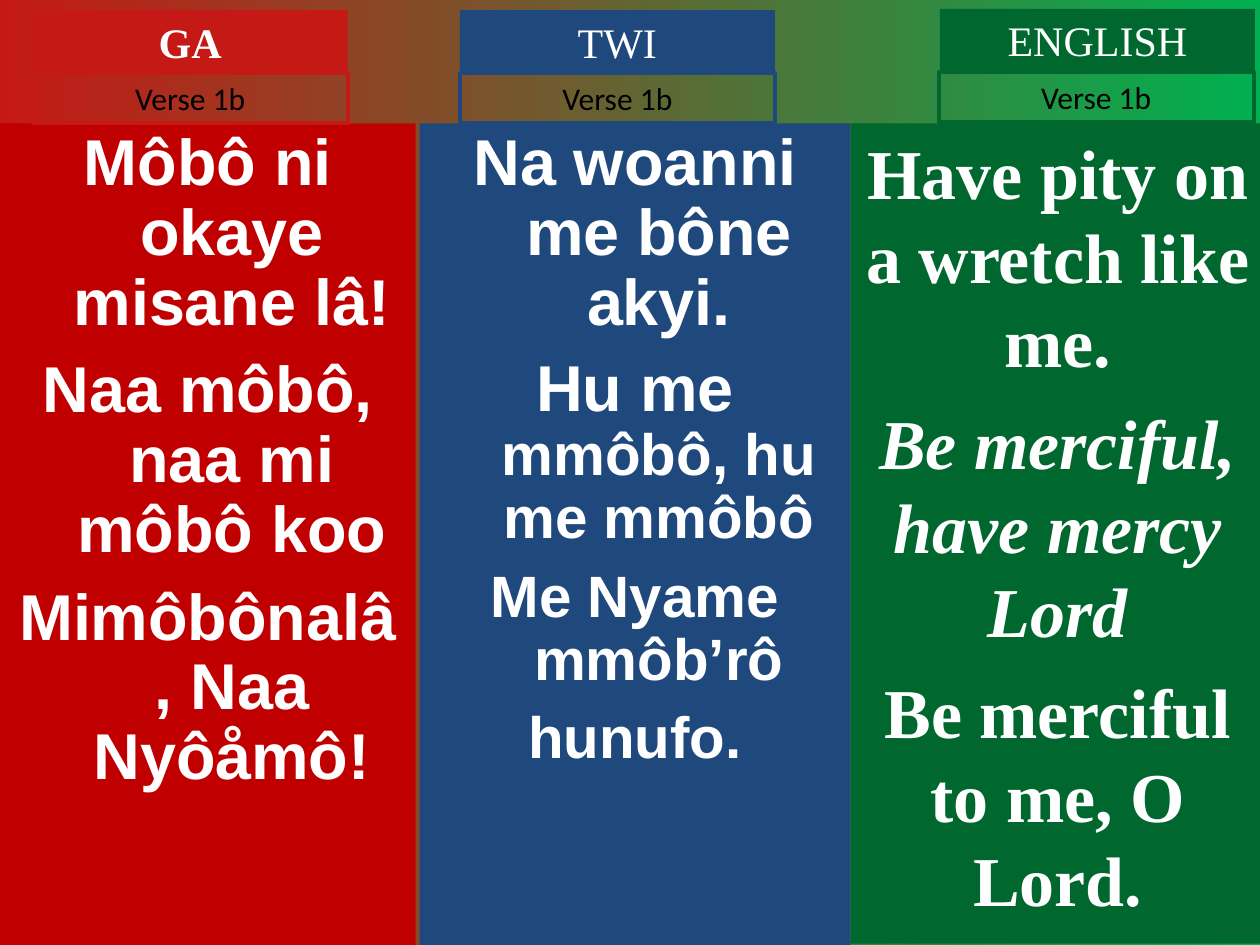
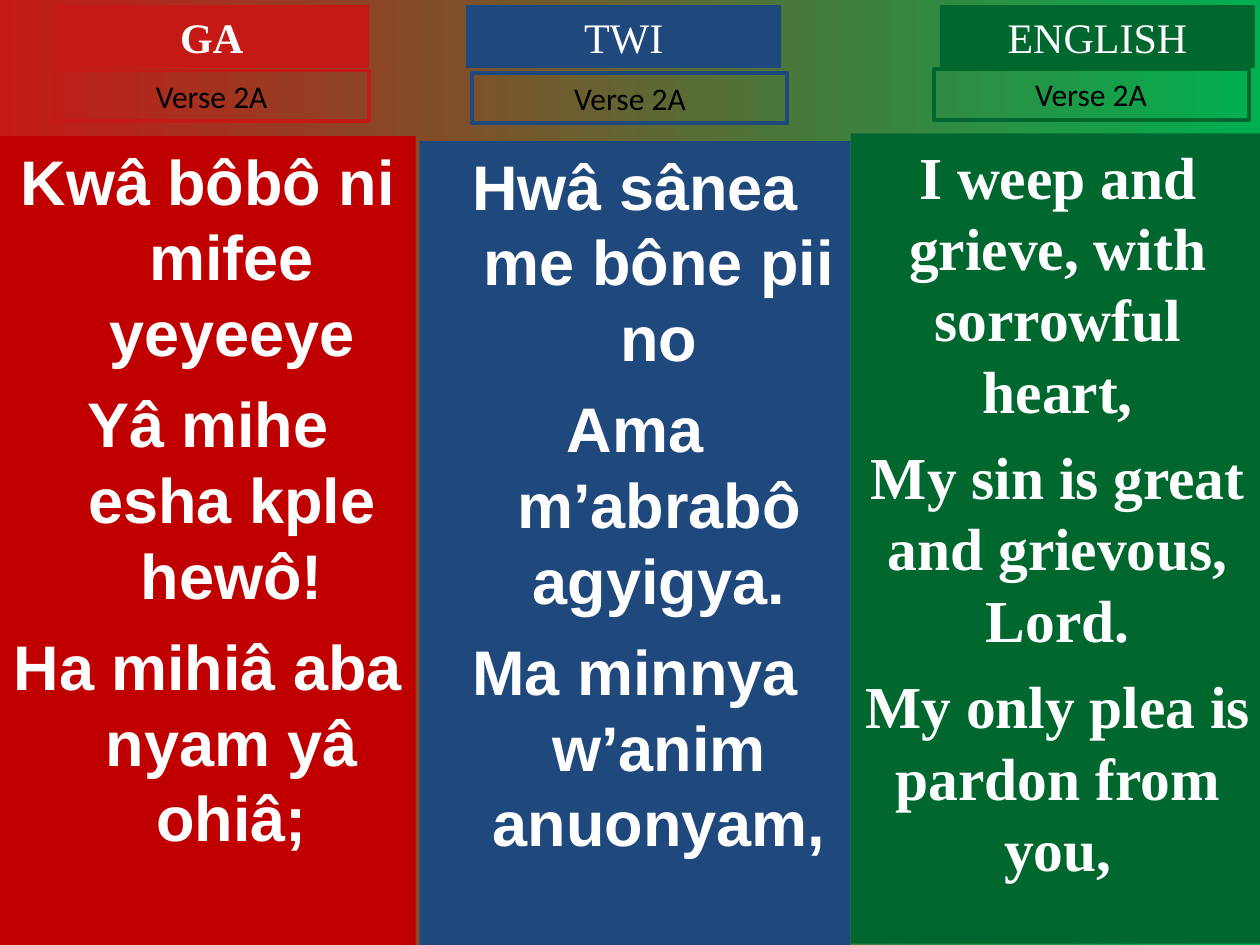
import pptx
import pptx.util
import pptx.dml.color
import pptx.enum.shapes
import pptx.enum.text
from dataclasses import dataclass

PX = 9144  # EMU per px, 100 px to the inch


@dataclass(frozen=True)
class Theme:
    red: str = "C00000"
    rose: str = "C51915"
    blue: str = "1F497D"
    green: str = "00682F"
    lime: str = "00B050"
    white: str = "FFFFFF"
    black: str = "000000"
    sans: str = "Arial"
    serif: str = "Times New Roman"
    plain: str = "Calibri"
    head: int = 24
    verse: int = 18


THEME = Theme()


def rgb(code):
    return pptx.dml.color.RGBColor.from_string(code)


def apply(item, form):
    for name, value in form.items():
        setattr(item, name, value)


class Deck:
    def __init__(self, theme):
        self.theme = theme
        self.file = pptx.Presentation()
        apply(self.file, {"slide_width": 1000 * PX, "slide_height": 750 * PX})
        self.slide = None

    def page(self):
        """Start a slide with the red to green background."""
        self.slide = self.file.slides.add_slide(self.file.slide_layouts[6])
        fill = self.slide.background.fill
        fill.gradient()
        fill.gradient_angle = 0
        for stop, code in zip(fill.gradient_stops, (self.theme.rose, self.theme.lime)):
            stop.color.rgb = rgb(code)

    def box(self, area, fill=None, line=None):
        """Add a rectangle and return its text frame."""
        kind = pptx.enum.shapes.MSO_SHAPE.RECTANGLE
        shape = self.slide.shapes.add_shape(kind, *(n * PX for n in area))
        shape.shadow.inherit = False
        if fill:
            shape.fill.solid()
            shape.fill.fore_color.rgb = rgb(fill)
        else:
            shape.fill.background()
        if line:
            shape.line.color.rgb = rgb(line)
            shape.line.width = pptx.util.Pt(2.25)
        else:
            shape.line.fill.background()
        apply(shape.text_frame, {
            "word_wrap": True,
            "vertical_anchor": pptx.enum.text.MSO_ANCHOR.TOP,
            "margin_left": 10 * PX, "margin_right": 10 * PX,
            "margin_top": 5 * PX, "margin_bottom": 5 * PX,
        })
        return shape.text_frame

    def words(self, para, runs, color, face, size, bold=False):
        """Fill a centred paragraph with (text, format) runs."""
        para.alignment = pptx.enum.text.PP_ALIGN.CENTER
        for text, form in runs:
            run = para.add_run()
            run.text = text
            look = {"name": face, "size": size, "bold": bold, **form}
            look["size"] = pptx.util.Pt(look["size"])
            apply(run.font, look)
            run.font.color.rgb = rgb(color)

    def label(self, area, text, color, face, size, bold=False, fill=None, line=None):
        """Add a one-line heading."""
        frame = self.box(area, fill, line)
        frame.auto_size = pptx.enum.text.MSO_AUTO_SIZE.SHAPE_TO_FIT_TEXT
        self.words(frame.paragraphs[0], [(text, {})], color, face, size, bold)

    def panel(self, area, fill, lines, face, size, gap, hang=0, lead=None):
        """Add a verse column, one paragraph per line of the song."""
        frame = self.box(area, fill)
        for i, line in enumerate(lines):
            para = frame.add_paragraph() if i else frame.paragraphs[0]
            if hang:
                props = para._p.get_or_add_pPr()
                props.set("marL", str(hang * PX))
                props.set("indent", str(-hang * PX))
            if lead:
                para.line_spacing = lead
            if i:
                para.space_before = pptx.util.Pt(gap)
            runs = [(line, {})] if isinstance(line, str) else line
            self.words(para, runs, self.theme.white, face, size, True)


# Columns: heading, left, width, panel fill, heading fill, face, hanging indent
COLS = [
    ("GA", 0, 330, THEME.red, THEME.rose, THEME.sans, 38),
    ("TWI", 333, 342, THEME.blue, THEME.blue, THEME.sans, 38),
    ("ENGLISH", 675, 329, THEME.green, THEME.green, THEME.serif, 0),
]

SMALL = {"size": 33.3}

# Each part: panel top and bottom, heading spot, verse spot, size, gap, lead, lines
SONG = [
    ("Verse 1b", [
        (98, 750, (26, 8), (26, 58), 37, 10, 0.9,
         ["Môbô ni okaye misane lâ!", "Naa môbô, naa mi môbô koo",
          "Mimôbônalâ, Naa Nyôåmô!"]),
        (98, 750, (365, 8), (365, 58), 37, 9, 0.9,
         ["Na woanni me bône akyi.",
          [("Hu me ", {}), ("mmôbô, hu me mmôbô", SMALL)],
          [("Me Nyame mmôb’rô", SMALL)], [("hunufo.", SMALL)]]),
        (98, 749, (746, 7), (745, 57), 40, 10, None,
         ["Have pity on a wretch like me.",
          [("Be merciful, have mercy Lord", {"italic": True})],
          "Be merciful to me, O Lord."]),
    ]),
    ("Verse 2A", [
        (108, 750, (43, 4), (43, 56), 36, 9, None,
         ["Kwâ bôbô ni mifee yeyeeye", "Yâ mihe esha kple hewô!",
          "Ha mihiâ aba nyam yâ ohiâ;"]),
        (112, 750, (370, 4), (375, 58), 36, 9, None,
         ["Hwâ sânea me bône pii no", "Ama m’abrabô agyigya.",
          "Ma minnya w’anim anuonyam,"]),
        (106, 749, (746, 4), (741, 55), 34, 8.5, None,
         ["I weep and grieve, with sorrowful heart,",
          "My sin is great and grievous, Lord.",
          "My only plea is pardon from you,"]),
    ]),
]


def main():
    deck = Deck(THEME)
    for verse, parts in SONG:
        deck.page()
        for col, part in zip(COLS, parts):
            title, left, width, fill, tint, face, hang = col
            top, end, head, sub, size, gap, lead, lines = part
            # Verse column
            deck.panel((left, top, width, end - top), fill, lines,
                       face, size, gap, hang, lead)
            # Language and verse headings
            deck.label((*head, 250, 50), title, THEME.white, THEME.serif,
                       THEME.head, title == "GA", fill=tint)
            deck.label((*sub, 250, 40), verse, THEME.black, THEME.plain,
                       THEME.verse, line=tint)
    deck.file.save("out.pptx")


if __name__ == "__main__":
    main()
